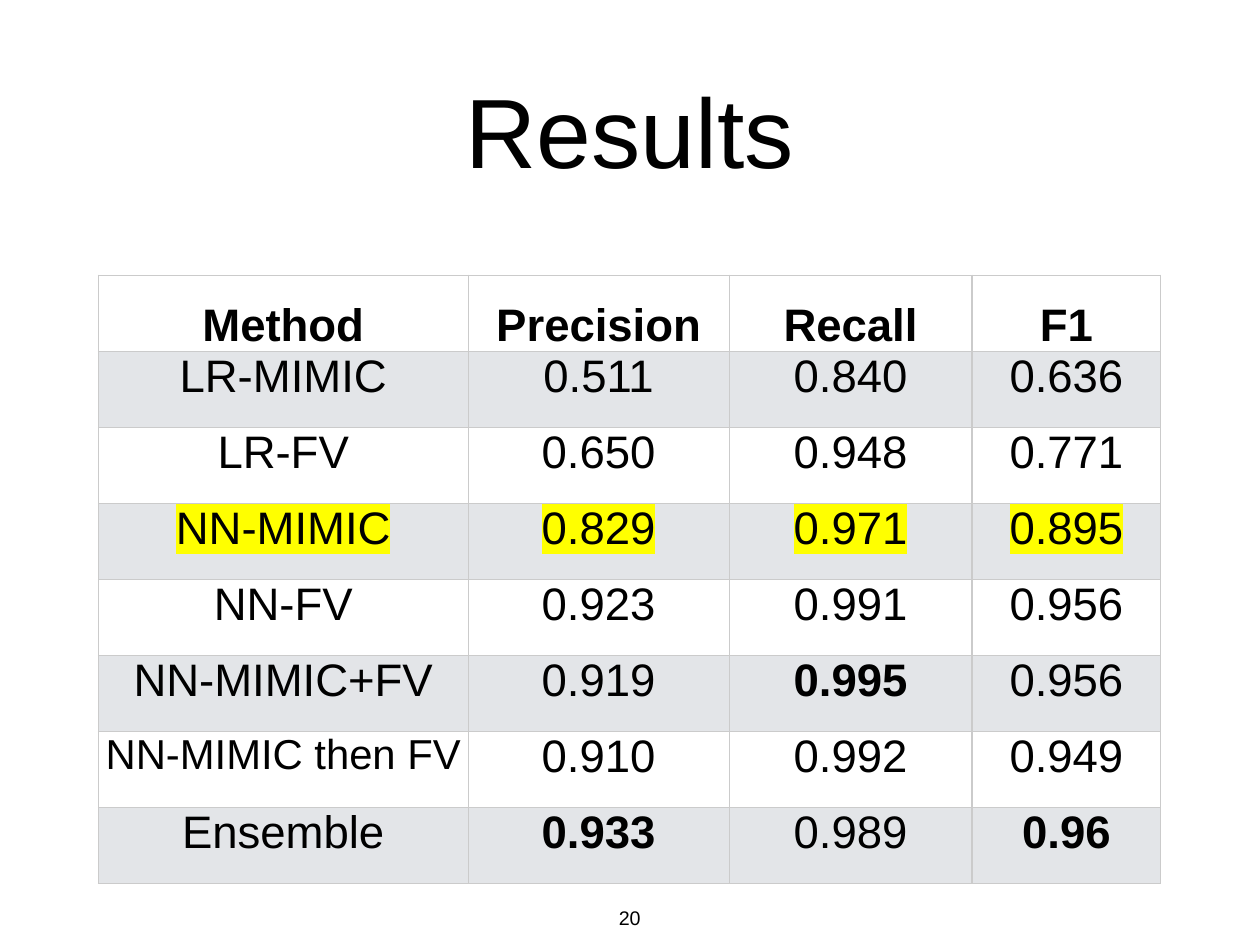
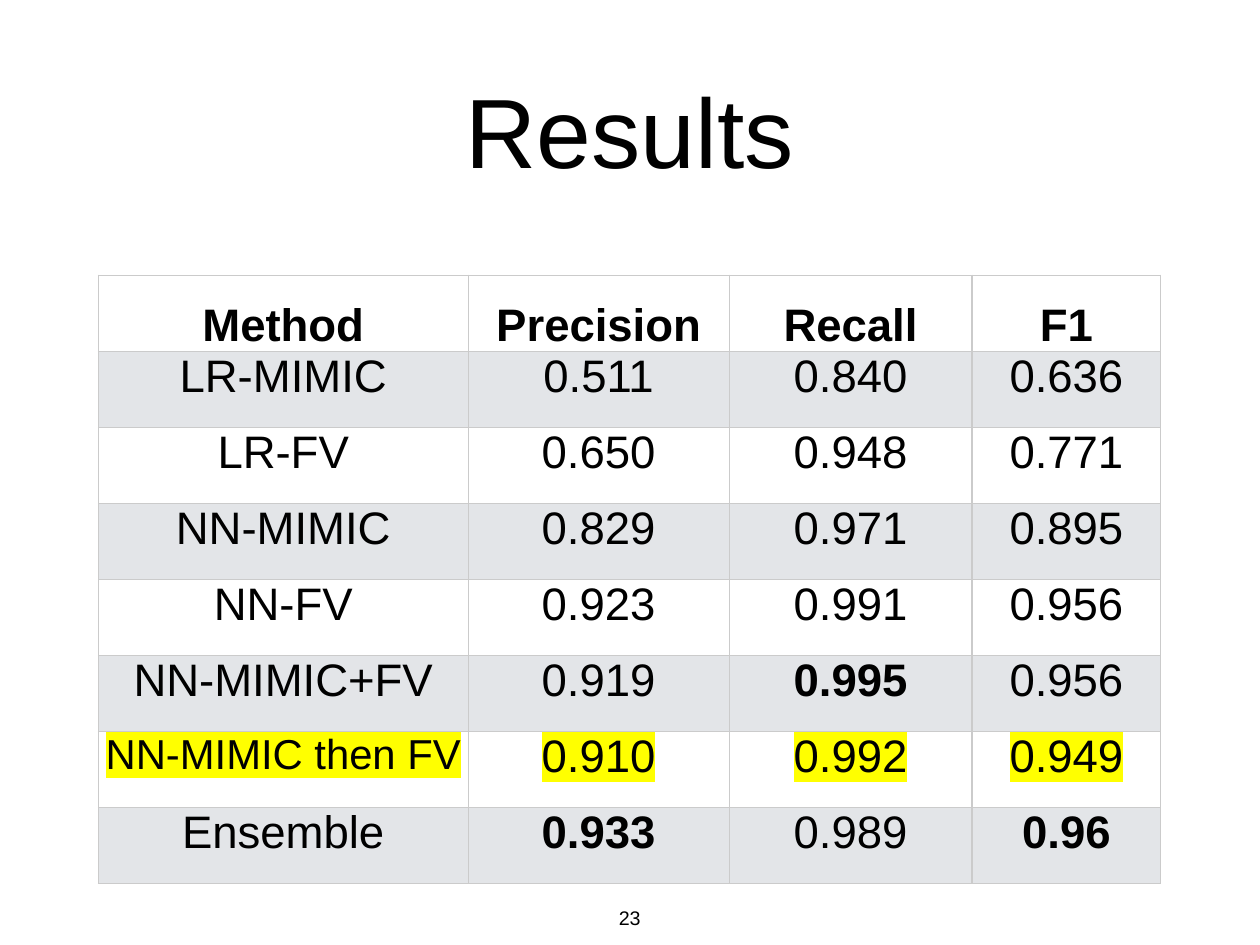
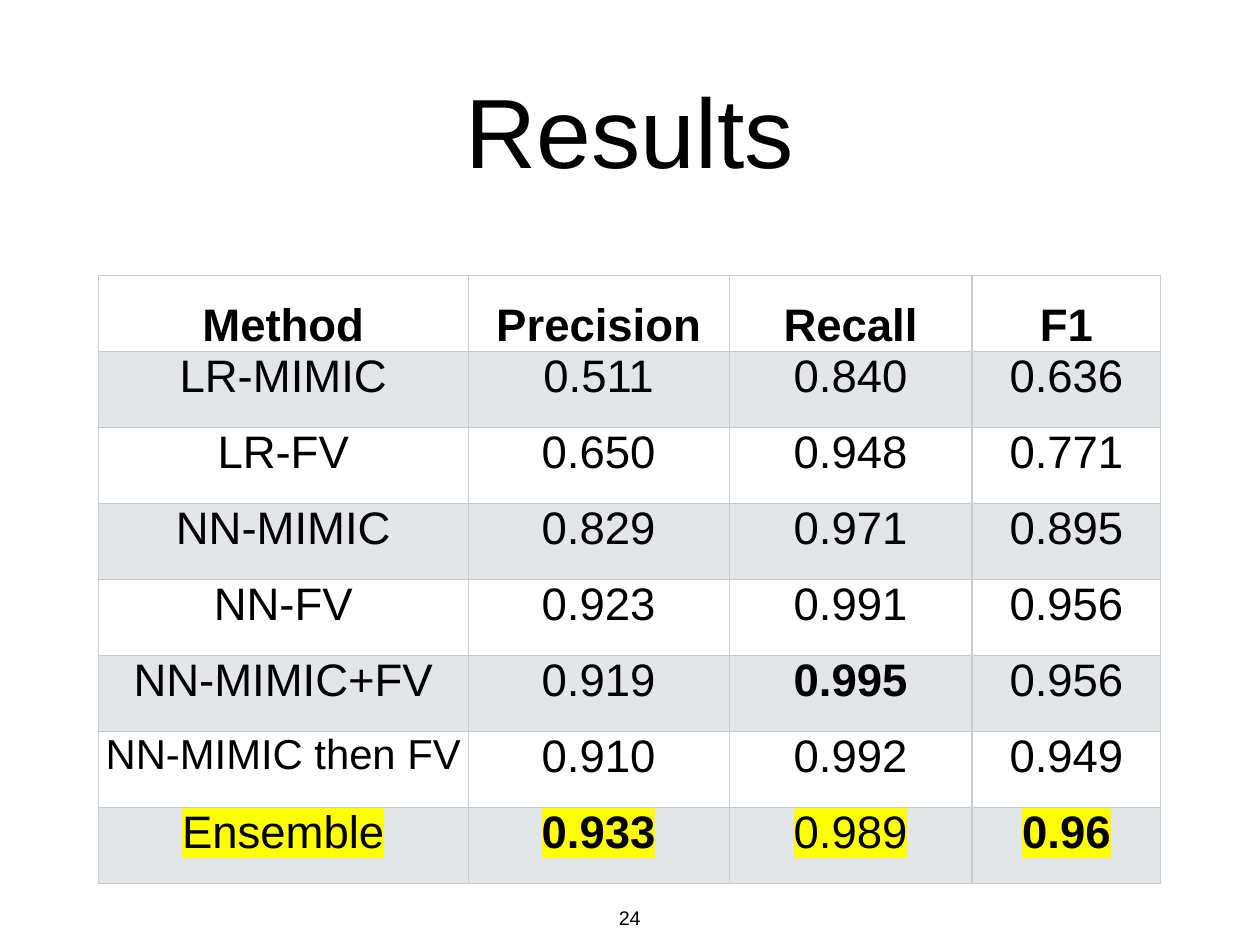
from lxml.etree import SubElement
from pptx import Presentation
from pptx.dml.color import RGBColor
from pptx.enum.text import MSO_ANCHOR as Anchor, MSO_AUTO_SIZE as AutoSize, PP_ALIGN as Align
from pptx.oxml.ns import qn
from pptx.util import Pt

BLACK = RGBColor(0x00, 0x00, 0x00)
WHITE = RGBColor(0xFF, 0xFF, 0xFF)
BAND = RGBColor(0xE3, 0xE5, 0xE8)
RULE = RGBColor(0xCB, 0xCB, 0xCB)
YELLOW = RGBColor(0xFF, 0xFF, 0x00)

FONT = "Arial"
COLUMN_WIDTHS = (300.4, 212.2, 197.4, 153.5)
ROW_HEIGHT = 61.8
TABLE_LEFT, TABLE_TOP = 80, 223.5

RESULTS = (
    ("Method", "Precision", "Recall", "F1"),
    ("LR-MIMIC", "0.511", "0.840", "0.636"),
    ("LR-FV", "0.650", "0.948", "0.771"),
    ("NN-MIMIC", "0.829", "0.971", "0.895"),
    ("NN-FV", "0.923", "0.991", "0.956"),
    ("NN-MIMIC+FV", "0.919", "0.995", "0.956"),
    ("NN-MIMIC then FV", "0.910", "0.992", "0.949"),
    ("Ensemble", "0.933", "0.989", "0.96"),
)
BEST_SCORES = ("0.995", "0.933", "0.96")
LAST_ROW = len(RESULTS) - 1
SLIDES = ((20, "NN-MIMIC"), (23, "NN-MIMIC then FV"), (24, "Ensemble"))


def write(frame, text, size, bold=False, highlight=None):
    paragraph = frame.paragraphs[0]
    paragraph.alignment = Align.CENTER
    run = paragraph.add_run()
    run.text = text
    run.font.size = Pt(size)
    run.font.bold = bold
    run.font.color.rgb = BLACK
    if highlight is not None:
        marker = SubElement(run.font._element, qn("a:highlight"))
        SubElement(marker, qn("a:srgbClr"), val=str(highlight))
    run.font.name = FONT


def draw_borders(cell, top, bottom):
    properties = cell._tc.get_or_add_tcPr()
    for side, width in (("lnL", 1), ("lnR", 1), ("lnT", top), ("lnB", bottom)):
        line = SubElement(properties, qn(f"a:{side}"), w=str(Pt(width)))
        fill = SubElement(line, qn("a:solidFill"))
        SubElement(fill, qn("a:srgbClr"), val=str(RULE))


deck = Presentation()
deck.slide_width, deck.slide_height = Pt(1024), Pt(768)

for number, marked_method in SLIDES:
    slide = deck.slides.add_slide(deck.slide_layouts[5])

    title = slide.shapes.title
    title.left, title.top, title.width, title.height = Pt(75), Pt(20), Pt(874), Pt(170)
    page_number = slide.shapes.add_textbox(Pt(498.5), Pt(732), Pt(26.5), Pt(25))
    for box, text, size, anchor, fit in (
        (title, "Results", 80, Anchor.MIDDLE, AutoSize.NONE),
        (page_number, str(number), 16, Anchor.TOP, AutoSize.SHAPE_TO_FIT_TEXT),
    ):
        frame = box.text_frame
        frame.margin_left = frame.margin_right = Pt(4)
        frame.margin_top = frame.margin_bottom = Pt(4)
        frame.vertical_anchor = anchor
        frame.auto_size = fit
        frame.word_wrap = box is title
        write(frame, text, size)

    scores = slide.shapes.add_table(
        len(RESULTS), len(COLUMN_WIDTHS), Pt(TABLE_LEFT), Pt(TABLE_TOP),
        Pt(sum(COLUMN_WIDTHS)), Pt(ROW_HEIGHT * len(RESULTS))).table
    scores.horz_banding = False
    for column, width in zip(scores.columns, COLUMN_WIDTHS):
        column.width = Pt(width)

    for row, values in enumerate(RESULTS):
        scores.rows[row].height = Pt(ROW_HEIGHT)
        for column, value in enumerate(values):
            cell = scores.cell(row, column)
            cell.margin_left = cell.margin_right = Pt(5)
            cell.margin_top = cell.margin_bottom = Pt(0)
            cell.vertical_anchor = Anchor.TOP if row else Anchor.BOTTOM
            draw_borders(cell, top=0.5 if row < 2 else 1,
                         bottom=0.5 if row in (0, LAST_ROW) else 1)
            cell.fill.solid()
            cell.fill.fore_color.rgb = BAND if row % 2 else WHITE
            write(cell.text_frame, value,
                  size=34 if value == "NN-MIMIC then FV" else 37,
                  bold=row == 0 or value in BEST_SCORES,
                  highlight=YELLOW if values[0] == marked_method else None)

deck.save("out.pptx")
